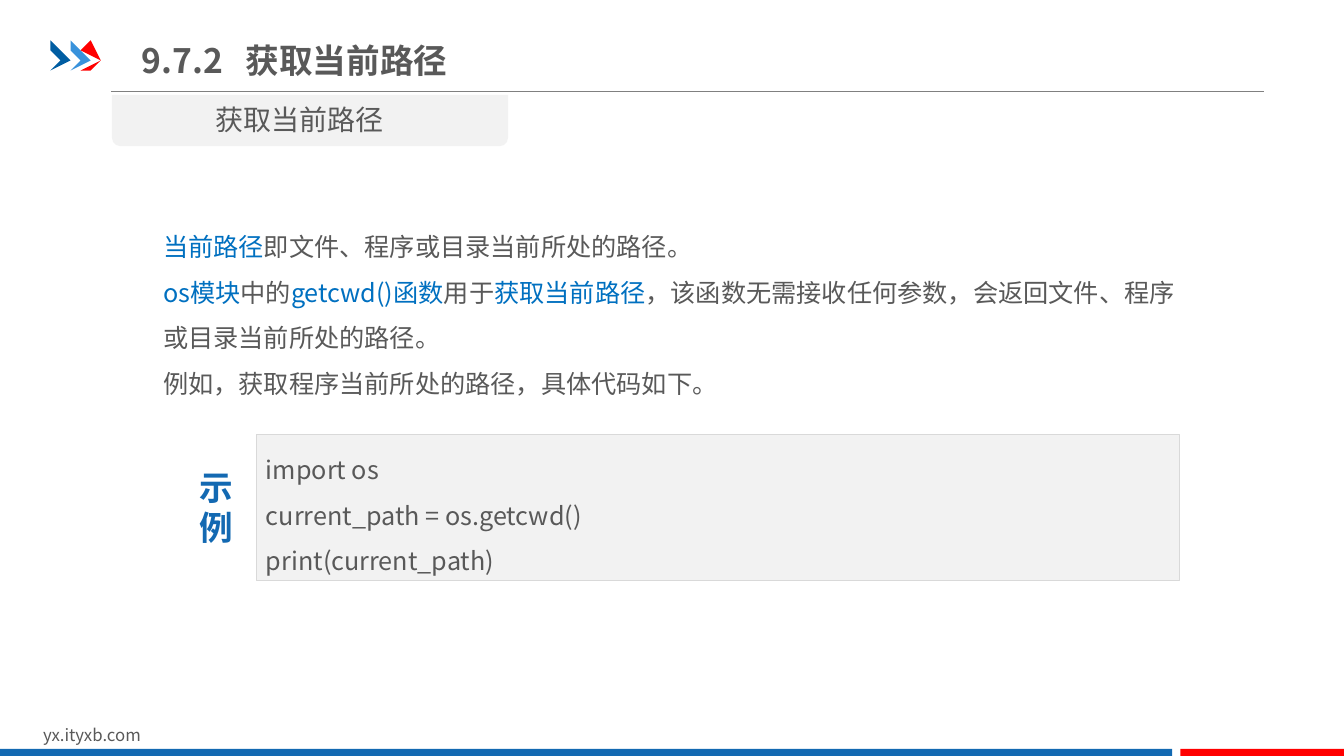
from lxml.etree import SubElement
from pptx import Presentation
from pptx.dml.color import RGBColor
from pptx.enum.shapes import MSO_CONNECTOR as Connector, MSO_SHAPE as Shape
from pptx.enum.text import MSO_ANCHOR as Anchor, MSO_AUTO_SIZE as AutoSize, PP_ALIGN as Align
from pptx.oxml.ns import qn
from pptx.util import Inches, Pt

# Every length counts grid columns or rows of a tenth of an inch
CELL = Inches(0.1)
COLUMNS, ROWS = 133.33, 75
FONT = "Noto Sans CJK SC"
GREY, BLUE, BRAND, RED, PALE = "595959", "0070C0", "1369B2", "FF0000", "F2F2F2"


def color(code):
    return RGBColor.from_string(code)


def cells(*counts):
    return [round(count * CELL) for count in counts]


def paint(shape, fill, line=None, width=0.25):
    shape.shadow.inherit = False
    shape.fill.solid()
    shape.fill.fore_color.rgb = color(fill)
    if line:
        shape.line.color.rgb = color(line)
        shape.line.width = Pt(width)
    else:
        shape.line.fill.background()


def add_block(page, kind, area, fill, line=None):
    block = page.shapes.add_shape(kind, *cells(*area))
    paint(block, fill, line)
    return block


def write(shape, lines, size, tint=GREY, bold=False, frame=None, layout=None):
    """Each line is a list of spans: plain text, or a (text, tint) pair."""
    for key, value in {"word_wrap": True, **(frame or {})}.items():
        setattr(shape.text_frame, key, value)
    for index, spans in enumerate(lines):
        text = shape.text_frame
        para = text.add_paragraph() if index else text.paragraphs[0]
        for key, value in {"alignment": Align.LEFT, **(layout or {})}.items():
            setattr(para, key, value)
        for part in spans:
            words, shade = part if isinstance(part, tuple) else (part, tint)
            span = para.add_run()
            span.text = words
            for key, value in {"name": FONT, "size": Pt(size), "bold": bold}.items():
                setattr(span.font, key, value)
            span.font.color.rgb = color(shade)
            SubElement(span.font._element, qn("a:ea"), typeface=FONT)


def add_text(page, area, lines, size, **style):
    box = page.shapes.add_textbox(*cells(*area))
    write(box, lines, size, **style)
    return box


def add_rule(page, left, right, row):
    rule = page.shapes.add_connector(Connector.STRAIGHT, *cells(left, row, right, row))
    rule.line.color.rgb = color("808080")
    rule.line.width = Pt(0.75)
    SubElement(rule._element.spPr, qn("a:effectLst"))


def add_chevron(page, left, top, fill):
    outline = [(0.5, 0), (2, 1.5), (0.5, 3), (0, 2.5), (1.1, 1.5)]
    builder = page.shapes.build_freeform(left, top + 0.4, scale=CELL)
    builder.add_line_segments([(left + x, top + y) for x, y in outline], close=True)
    paint(builder.convert_to_shape(), fill)


def add_title(page, number, words):
    title = add_text(page, (13.1, 2.9, 57.6, 6.1), [[f"{number}\t{words}"]], 24, bold=True,
                     frame={"vertical_anchor": Anchor.MIDDLE})
    # The tab stop sets the gap between number and words
    properties = title.text_frame.paragraphs[0]._p.get_or_add_pPr()
    stops = SubElement(properties, qn("a:tabLst"))
    SubElement(stops, qn("a:tab"), pos=str(cells(10.3)[0]), algn="l")


def main():
    deck = Presentation()
    deck.slide_width, deck.slide_height = cells(COLUMNS, ROWS)
    page = deck.slides.add_slide(deck.slide_layouts[6])
    grow = {"auto_size": AutoSize.SHAPE_TO_FIT_TEXT}
    loose = {"line_spacing": 1.5}

    # Header
    add_rule(page, 11, 125.4, 9.1)
    for index, fill in enumerate(["005DA2", "3992DB", RED]):
        add_chevron(page, 4.7 + 1.87 * index, 4.3, fill)
    add_title(page, "9.7.2", "获取当前路径")

    # Footer
    add_text(page, (3.3, 71.4, 31.8, 3), [["yx.ityxb.com"]], 12, frame=grow)
    add_block(page, Shape.RECTANGLE, (0, 74.3, 116.3, 0.9), BRAND)
    add_block(page, Shape.RECTANGLE, (117.1, 74.3, 16.3, 0.9), RED)

    # Section tab, rounded at the bottom
    tab = add_block(page, Shape.ROUND_2_SAME_RECTANGLE, (11.1, 9.4, 39.3, 5.1), PALE)
    tab.rotation = 180
    add_text(page, (11.1, 9.7, 37.3, 4.4), [["获取当前路径"]], 20,
             frame=grow, layout={"alignment": Align.CENTER})

    # Explanation
    add_text(page, (15.2, 21, 103.2, 19.2), [
        [("当前路径", BLUE), "即文件、程序或目录当前所处的路径。"],
        [("os模块", BLUE), "中的", ("getcwd()函数", BLUE), "用于", ("获取当前路径", BLUE),
         "，该函数无需接收任何参数，会返回文件、程序或目录当前所处的路径。"],
        ["例如，获取程序当前所处的路径，具体代码如下。"],
    ], 18, frame=grow, layout=loose)

    # Code example
    code = add_block(page, Shape.RECTANGLE, (25.4, 43.1, 91.6, 14.5), PALE, "D9D9D9")
    write(code, [["import os"], ["current_path = os.getcwd()"], ["print(current_path)"]], 18,
          frame={"vertical_anchor": Anchor.MIDDLE}, layout=loose)
    add_text(page, (18.8, 45.8, 5.4, 9.1), [["示"], ["例"]], 24, tint=BRAND, bold=True,
             frame={**grow, "word_wrap": False}, layout={"alignment": Align.CENTER})

    deck.save("out.pptx")


if __name__ == "__main__":
    main()
